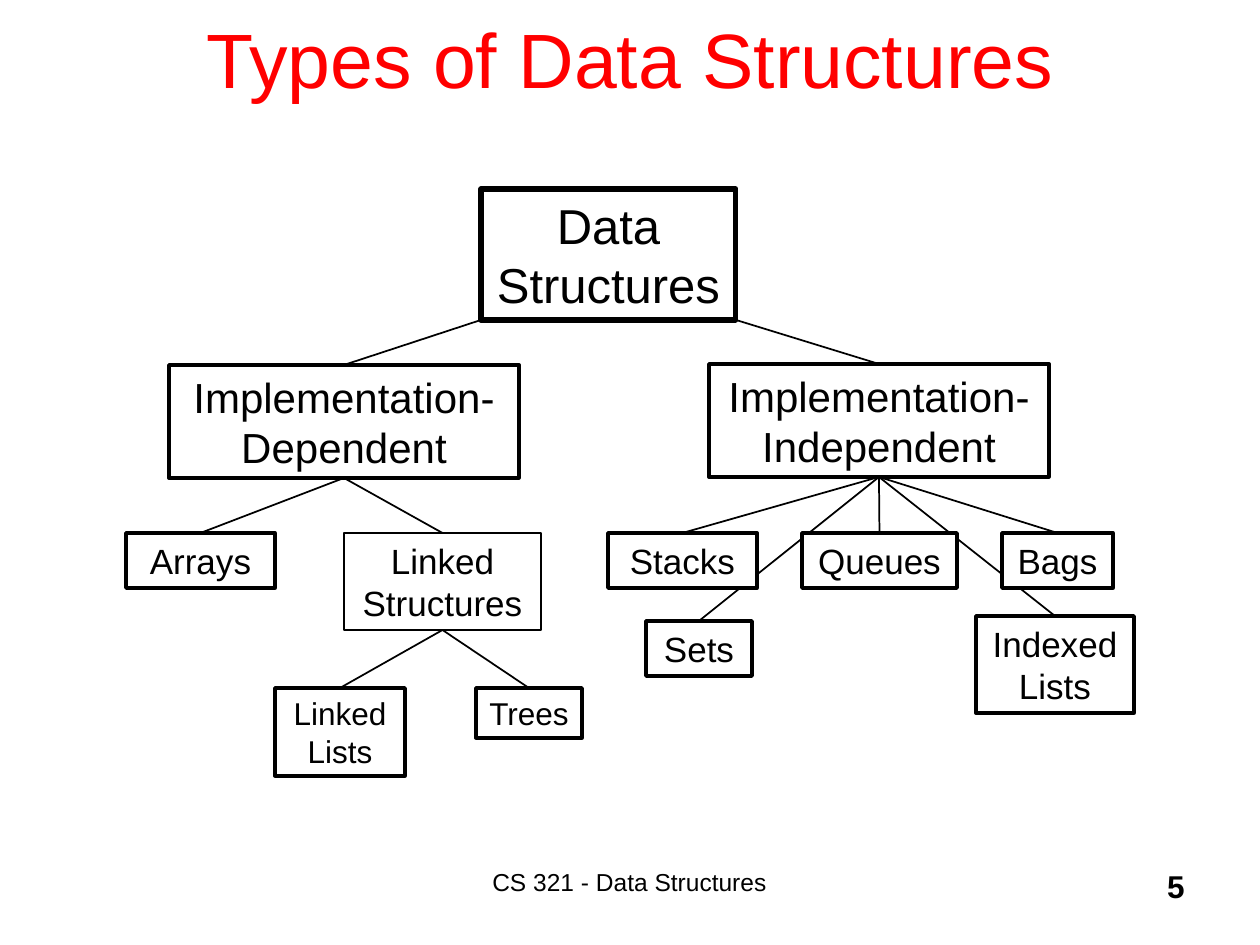
from collections import namedtuple

from lxml import etree
from pptx import Presentation
from pptx.dml.color import RGBColor
from pptx.enum.shapes import MSO_CONNECTOR, MSO_SHAPE
from pptx.enum.text import MSO_ANCHOR as ANCHOR
from pptx.enum.text import MSO_AUTO_SIZE as AUTO_SIZE
from pptx.enum.text import PP_ALIGN as ALIGN
from pptx.oxml.ns import qn
from pptx.util import Emu, Pt

PX_PER_INCH = 126
COLORS = {"title": "FF0000", "ink": "000000", "paper": "FFFFFF"}
Node = namedtuple("Node", "left top width height size border filled",
                  defaults=(20, 2, False))

NODES = {
    "Data Structures": Node(481, 189, 255, 131, 28, 3),
    "Implementation-Dependent": Node(169, 365, 350, 113, 24),
    "Implementation-Independent": Node(709, 364, 340, 113, 24),
    "Arrays": Node(126, 533, 149, 55),
    "Linked Structures": Node(344, 533, 197, 97, border=1),
    "Linked Lists": Node(275, 688, 130, 88, 18),
    "Trees": Node(476, 688, 106, 50, 18),
    "Indexed Lists": Node(976, 616, 158, 97),
    "Sets": Node(646, 621, 106, 55),
    "Queues": Node(802, 533, 155, 55, filled=True),
    "Bags": Node(1002, 533, 111, 55, filled=True),
    "Stacks": Node(608, 533, 149, 55, filled=True),
}
ROOT = "Data Structures"
CHILDREN = {
    ROOT: ["Implementation-Dependent", "Implementation-Independent"],
    "Implementation-Dependent": ["Arrays", "Linked Structures"],
    "Linked Structures": ["Linked Lists", "Trees"],
    "Implementation-Independent": ["Stacks", "Bags", "Sets", "Indexed Lists", "Queues"],
}


def px(length):
    return Emu(round(length * 914400 / PX_PER_INCH))


def color(name):
    return RGBColor.from_string(COLORS[name])


def write(frame, text, size, ink="ink", bold=False, align=ALIGN.CENTER,
          anchor=ANCHOR.TOP):
    frame.word_wrap = True
    frame.vertical_anchor = anchor
    line = frame.paragraphs[0]
    line.alignment = align
    run = line.add_run()
    run.text = text
    run.font.name = "Arial"
    run.font.size = Pt(size)
    run.font.bold = bold
    run.font.color.rgb = color(ink)


def add_label(slide, bounds, text, size, **style):
    label = slide.shapes.add_textbox(*map(px, bounds))
    write(label.text_frame, text, size, **style)


def add_node(slide, name, node):
    box = slide.shapes.add_shape(MSO_SHAPE.RECTANGLE, *map(px, node[:4]))
    box.shadow.inherit = False
    if node.filled:
        box.fill.solid()
        box.fill.fore_color.rgb = color("paper")
    else:
        box.fill.background()
    box.line.color.rgb = color("ink")
    box.line.width = Pt(node.border)
    write(box.text_frame, name, node.size)
    box.text_frame.auto_size = AUTO_SIZE.SHAPE_TO_FIT_TEXT


def add_branch(slide, parent, child):
    upper, lower = NODES[parent], NODES[child]
    end_x = lower.left + lower.width / 2
    start_x = upper.left + upper.width / 2
    if parent == ROOT:
        start_x = upper.left if end_x < start_x else upper.left + upper.width
    branch = slide.shapes.add_connector(
        MSO_CONNECTOR.STRAIGHT, px(start_x), px(upper.top + upper.height),
        px(end_x), px(lower.top))
    branch.line.color.rgb = color("ink")
    branch.line.width = Pt(1)
    etree.SubElement(branch._element.spPr, qn("a:effectLst"))


def main():
    deck = Presentation()
    deck.slide_width, deck.slide_height = px(1260), px(945)
    slide = deck.slides.add_slide(deck.slide_layouts[6])

    add_label(slide, (95, -21, 1071, 157), "Types of Data Structures", 44,
              ink="title", anchor=ANCHOR.MIDDLE)
    for parent, children in CHILDREN.items():
        for child in children:
            add_branch(slide, parent, child)
    for name, node in NODES.items():
        add_node(slide, name, node)
    add_label(slide, (388, 861, 483, 63), "CS 321 - Data Structures", 14)
    add_label(slide, (935, 861, 262, 63), "5", 18, bold=True, align=ALIGN.RIGHT)

    deck.save("out.pptx")


if __name__ == "__main__":
    main()
